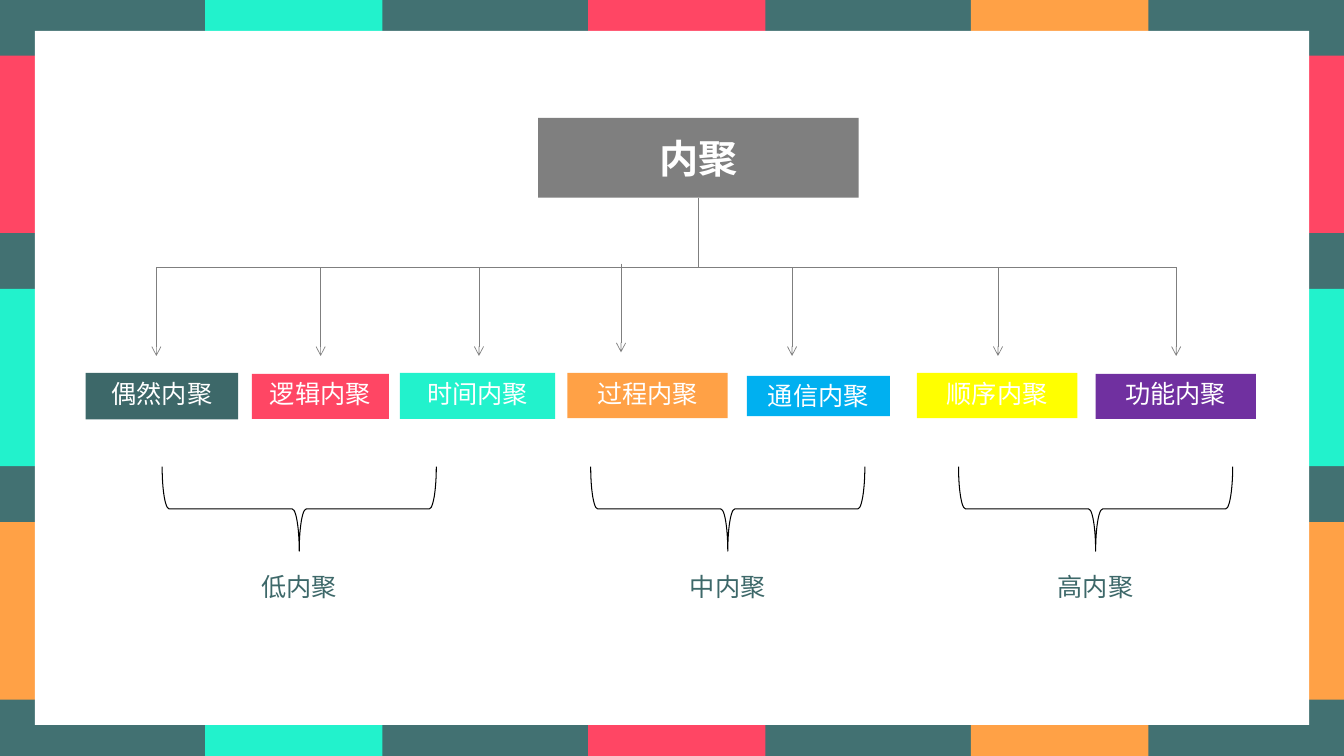
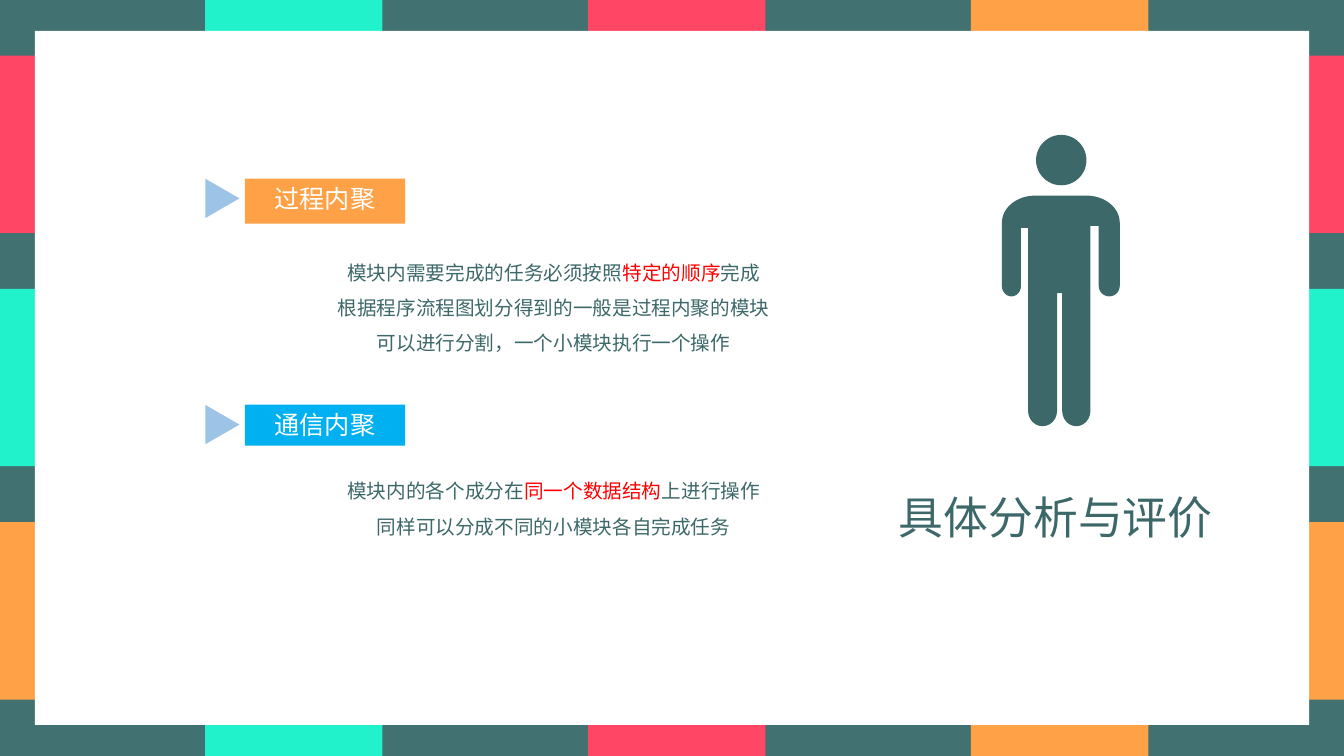
import math

import lxml.etree
import pptx
import pptx.dml.color
import pptx.enum.shapes
import pptx.enum.text
import pptx.oxml.ns
import pptx.util

Cm, Pt = pptx.util.Cm, pptx.util.Pt
qn = pptx.oxml.ns.qn
MSO = pptx.enum.shapes.MSO_SHAPE
ALIGN = pptx.enum.text.PP_ALIGN
ANCHOR = pptx.enum.text.MSO_ANCHOR
RGB = pptx.dml.color.RGBColor.from_string

FONT = "Noto Sans CJK SC"
COLORS = {
    "frame": "427172", "text": "3D6869", "teal": "22F2CC", "pink": "FF4664",
    "orange": "FFA146", "blue": "00B0F0", "yellow": "FFFF00",
    "purple": "7030A0", "marker": "9DC3E6", "gray": "7F7F7F",
    "white": "FFFFFF", "black": "000000", "red": "FF0000",
}
WIDTH, HEIGHT = 33.87, 19.05


def add_box(s, kind, x, y, w, h, color):
    sp = s.shapes.add_shape(kind, Cm(x), Cm(y), Cm(w), Cm(h))
    sp.shadow.inherit = False
    sp.fill.solid()
    sp.fill.fore_color.rgb = RGB(COLORS[color])
    sp.line.fill.background()
    return sp


def write(sp, lines, size, color, anchor=ANCHOR.TOP, align=ALIGN.CENTER,
          spacing=1.0, bold=False):
    """Fill a shape with paragraphs; text between bars is red."""
    tf = sp.text_frame
    tf.word_wrap = True
    tf.auto_size = pptx.enum.text.MSO_AUTO_SIZE.NONE
    tf.vertical_anchor = anchor
    for i, line in enumerate(lines):
        p = tf.add_paragraph() if i else tf.paragraphs[0]
        p.alignment = align
        p.line_spacing = spacing
        p.font.name = FONT
        p.font.size = Pt(size)
        p.font.bold = bold
        p.font.color.rgb = RGB(COLORS[color])
        props = p._p.pPr.find(qn("a:defRPr"))
        lxml.etree.SubElement(props, qn("a:ea"), typeface=FONT)
        for j, part in enumerate(line.split("|")):
            r = p.add_run()
            r.text = part
            if j % 2:
                r.font.color.rgb = RGB(COLORS["red"])


prs = pptx.Presentation()
prs.slide_width, prs.slide_height = Cm(WIDTH), Cm(HEIGHT)
layout = prs.slide_layouts.get_by_name("Title Only")
s = prs.slides.add_slide(layout)

# Striped frame, moved to the layout so that both slides share it
BAND = 4.47
frame = [add_box(s, MSO.RECTANGLE, 0, 0, WIDTH, HEIGHT, "frame")]
for i, color in enumerate(["pink", "teal", "orange"]):
    frame.append(add_box(s, MSO.RECTANGLE, 0, 1.4 + 5.88 * i, WIDTH, BAND, color))
for i, color in enumerate(["teal", "pink", "orange"]):
    frame.append(add_box(s, MSO.RECTANGLE, 5.17 + 9.65 * i, 0, BAND, HEIGHT, color))
frame.append(add_box(s, MSO.RECTANGLE, 0.88, 0.78, 32.11, 17.49, "white"))
for i, sp in enumerate(frame):
    sp.element.nvSpPr.cNvPr.set("id", str(100 + i))
    layout.shapes.element.insert(2 + i, sp.element)

# Slide 1: root of the tree
title = s.shapes.title
title.left, title.top, title.width, title.height = Cm(13.56), Cm(2.97), Cm(8.08), Cm(2.01)
title.fill.solid()
title.fill.fore_color.rgb = RGB(COLORS["gray"])
write(title, ["内聚"], 28, "white", anchor=ANCHOR.MIDDLE, bold=True)

# Kinds of cohesion: text, colour, left, top, width, height, arrow x, arrow y
BAR_Y = 6.73
kinds = [
    ("偶然内聚", "text", 2.16, 9.4, 3.84, 1.17, 3.94, BAR_Y),
    ("逻辑内聚", "pink", 6.35, 9.42, 3.45, 1.14, 8.08, BAR_Y),
    ("时间内聚", "teal", 10.08, 9.4, 3.91, 1.16, 12.07, BAR_Y),
    ("过程内聚", "orange", 14.3, 9.4, 4.04, 1.14, 15.65, 6.64),
    ("通信内聚", "blue", 18.82, 9.47, 3.61, 1.02, 19.96, BAR_Y),
    ("顺序内聚", "yellow", 23.11, 9.4, 4.04, 1.14, 25.15, BAR_Y),
    ("功能内聚", "purple", 27.61, 9.42, 4.04, 1.14, 29.64, BAR_Y),
]
links = [(17.6, 4.98, 17.6, BAR_Y, False),
         (kinds[0][6], BAR_Y, kinds[-1][6], BAR_Y, False)]
for text, color, x, y, w, h, arrow_x, arrow_y in kinds:
    write(add_box(s, MSO.RECTANGLE, x, y, w, h, color), [text], 18, "white")
    links.append((arrow_x, arrow_y, arrow_x, arrow_y + 2.24, True))

# Stem, bar and arrows
for i, (x1, y1, x2, y2, has_head) in enumerate(links):
    c = s.shapes.add_connector(pptx.enum.shapes.MSO_CONNECTOR.STRAIGHT,
                               Cm(x1), Cm(y1), Cm(x2), Cm(y2))
    c.line.color.rgb = RGB(COLORS["gray"])
    c.line.width = Pt(0.5)
    props = c.element.spPr
    if has_head:
        lxml.etree.SubElement(props.find(qn("a:ln")), qn("a:tailEnd"), type="arrow")
    lxml.etree.SubElement(props, qn("a:effectLst"))
    if i == 0:
        c.begin_connect(title, 2)

# Braces with the level of cohesion below
BRACE_W, BRACE_H = 2.13, 6.91
for text, center in [("低内聚", 7.54), ("中内聚", 18.34), ("高内聚", 27.61)]:
    sp = add_box(s, MSO.RIGHT_BRACE, center - BRACE_W / 2, 9.37, BRACE_W, BRACE_H, "white")
    sp.rotation = 90
    sp.line.color.rgb = RGB(COLORS["black"])
    sp.line.width = Pt(0.75)
    sp = s.shapes.add_textbox(Cm(center - BRACE_H / 2), Cm(13.89), Cm(BRACE_H), Cm(1.42))
    write(sp, [text], 18, "text", spacing=1.5)

# Slide 2: title below the figure
s = prs.slides.add_slide(layout)
title = s.shapes.title
title.left, title.top, title.width, title.height = Cm(22.4), Cm(12.22), Cm(8.61), Cm(1.63)
write(title, ["具体分析与评价"], 32, "text", align=ALIGN.LEFT)

# Topics: label, colour, top, label height, text top, text height, lines
topics = [
    ("过程内聚", "orange", 4.5, 1.14, 6.15, 2.95,
     ["模块内需要完成的任务必须按照|特定的顺序|完成",
      "根据程序流程图划分得到的一般是过程内聚的模块",
      "可以进行分割，一个小模块执行一个操作"]),
    ("通信内聚", "blue", 10.2, 1.03, 11.66, 1.96,
     ["模块内的各个成分在|同一个数据结构|上进行操作",
      "同样可以分成不同的小模块各自完成任务"]),
]
for label, color, y, h, text_y, text_h, lines in topics:
    marker = add_box(s, MSO.ISOSCELES_TRIANGLE, 5.11, y + 0.07, 0.99, 0.86, "marker")
    marker.rotation = 90
    write(add_box(s, MSO.RECTANGLE, 6.17, y, 4.04, h, color), [label], 18, "white")
    sp = s.shapes.add_textbox(Cm(6.17), Cm(text_y), Cm(15.57), Cm(text_h))
    write(sp, lines, 14, "text", spacing=1.5)

# Standing figure: head, then a body outline made of elliptic arcs
add_box(s, MSO.OVAL, 26.11, 3.4, 1.27, 1.27, "text")
# Limbs: left, right, start of the rounded end, depth of it, top of the next gap
limbs = [(25.25, 25.73, 7.21, 0.26, 5.74), (25.91, 26.64, 10.36, 0.38, 7.39),
         (26.77, 27.48, 10.36, 0.38, 5.69), (27.69, 28.22, 7.21, 0.26, None)]
# Arcs: centre x, centre y, radius x, radius y, first and last angle
arcs = [(27.38, 5.61, 0.84, 0.68, 0, -90), (26.09, 5.61, 0.84, 0.68, -90, -180)]
for i, (left, right, y, depth, gap_top) in enumerate(limbs):
    arcs.append(((left + right) / 2, y, (right - left) / 2, depth, 180, 0))
    if gap_top:
        gap_end = limbs[i + 1][0]
        arcs.append(((right + gap_end) / 2, gap_top, (gap_end - right) / 2, 0, 180, 0))
STEPS = 12
outline = []
for cx, cy, rx, ry, first, last in arcs:
    for step in range(STEPS + 1):
        angle = math.radians(first + (last - first) * step / STEPS)
        outline.append((Cm(cx + rx * math.cos(angle)), Cm(cy + ry * math.sin(angle))))
builder = s.shapes.build_freeform(*outline[0])
builder.add_line_segments(outline[1:], close=True)
body = builder.convert_to_shape()
body.shadow.inherit = False
body.fill.solid()
body.fill.fore_color.rgb = RGB(COLORS["text"])
body.line.fill.background()

prs.save("out.pptx")
